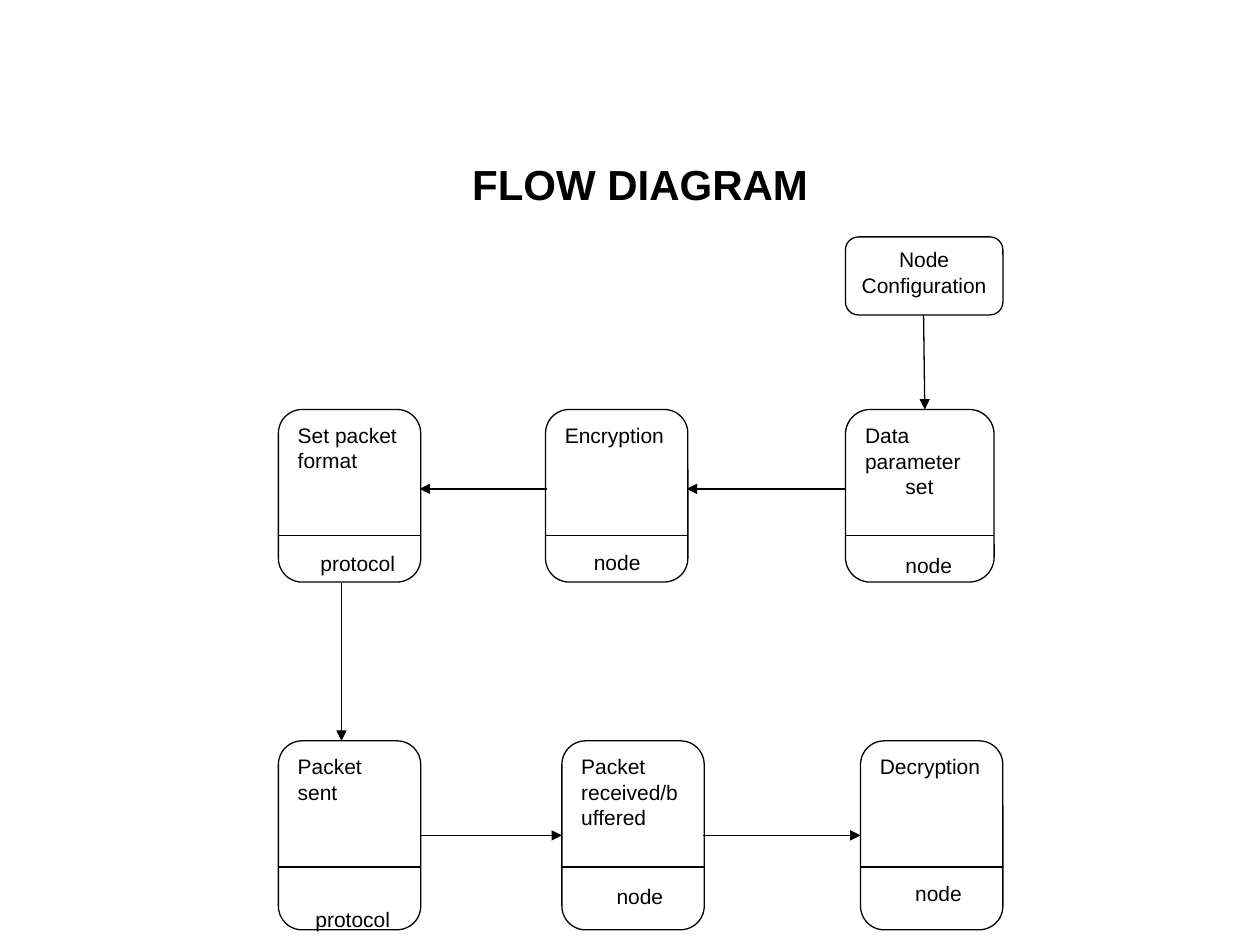
from typing import NamedTuple

from pptx import Presentation
from pptx.dml.color import RGBColor
from pptx.enum.shapes import MSO_CONNECTOR as CONN, MSO_SHAPE as SHAPE
from pptx.enum.text import MSO_ANCHOR as ANCHOR, PP_ALIGN as ALIGN
from pptx.oxml.ns import qn
from pptx.util import Inches, Pt
from lxml.etree import SubElement

BLACK = RGBColor(0, 0, 0)
WHITE = RGBColor(255, 255, 255)
FONT = "Arial"
LINE_PT = 13.8  # height of one 12 pt text line
CORNER = 0.167


class Step(NamedTuple):
    left: float
    top: float
    width: float
    height: float
    label: list[str]
    lines: int  # lines the label takes once wrapped
    role: str
    role_indent: float
    role_drop: float = 72  # points from first line to role line


class Arrow(NamedTuple):
    x1: float
    y1: float
    x2: float
    y2: float


ROW1, ROW2 = 3.25, 5.88
H1, H2 = 1.37, 1.5
DIVIDER = 1.0  # below the top of a step
SET_INDENT = 0.32

STEPS = [
    Step(6.71, ROW1, 1.18, H1, ["Data parameter", "set"], 3, "node", SET_INDENT),
    Step(4.33, ROW1, 1.13, H1, ["Encryption"], 1, "node", 0.23),
    Step(2.21, ROW1, 1.13, H1, ["Set packet format"], 2, "protocol", 0.18),
    Step(2.21, ROW2, 1.13, H2, ["Packet sent"], 2, "protocol", 0.14, 86),
    Step(4.46, ROW2, 1.13, H2, ["Packet received/buffered"], 3, "node", 0.28),
    Step(6.83, ROW2, 1.13, H2, ["Decryption"], 1, "node", 0.28),
]

ARROWS = [
    Arrow(7.33, 2.5, 7.34, ROW1),
    Arrow(6.71, 3.88, 5.45, 3.88),
    Arrow(4.34, 3.88, 3.33, 3.88),
    Arrow(2.71, 4.63, 2.71, ROW2),
    Arrow(3.33, 6.63, 4.46, 6.63),
    Arrow(5.58, 6.63, 6.83, 6.63),
]


def format_text(tf, size: float, align, bold: bool = False) -> None:
    for p in tf.paragraphs:
        p.alignment = align
        for r in p.runs:
            r.font.name, r.font.size, r.font.bold = FONT, Pt(size), bold
            r.font.color.rgb = BLACK


def add_box(s, left: float, top: float, width: float, height: float, text: str, align):
    sp = s.shapes.add_shape(SHAPE.ROUNDED_RECTANGLE, Inches(left), Inches(top),
                            Inches(width), Inches(height))
    sp.adjustments[0] = CORNER
    sp.shadow.inherit = False
    sp.fill.solid()
    sp.fill.fore_color.rgb = WHITE
    sp.line.color.rgb = BLACK
    sp.line.width = Pt(0.75)
    tf = sp.text_frame
    tf.word_wrap = True
    tf.vertical_anchor = ANCHOR.TOP
    tf.text = text
    format_text(tf, 12, align)
    return sp


def add_line(s, x1: float, y1: float, x2: float, y2: float, arrow: bool = False) -> None:
    cn = s.shapes.add_connector(CONN.STRAIGHT, Inches(x1), Inches(y1),
                                Inches(x2), Inches(y2))
    cn.line.color.rgb = BLACK
    cn.line.width = Pt(0.75)
    if arrow:
        SubElement(cn.line._get_or_add_ln(), qn("a:tailEnd"), type="triangle")
    SubElement(cn._element.spPr, qn("a:effectLst"))


def indent(p, inches: float) -> None:
    p._p.get_or_add_pPr().set("marL", str(Inches(inches)))


def add_step(s, step: Step) -> None:
    text = "\n".join([*step.label, step.role])
    sp = add_box(s, step.left, step.top, step.width, step.height, text, ALIGN.LEFT)
    *label, role = sp.text_frame.paragraphs
    for p in label[1:]:
        indent(p, SET_INDENT)
    indent(role, step.role_indent)
    role.space_before = Pt(step.role_drop - LINE_PT * step.lines)
    y = step.top + DIVIDER
    add_line(s, step.left, y, step.left + step.width, y)


def main() -> None:
    prs = Presentation()
    prs.slide_width, prs.slide_height = Inches(10), Inches(7.5)
    s = prs.slides.add_slide(prs.slide_layouts[6])

    # Title
    title = s.shapes.add_textbox(Inches(0.12), Inches(1.17), Inches(9.92), Inches(0.58))
    tf = title.text_frame
    tf.word_wrap = True
    tf.vertical_anchor = ANCHOR.MIDDLE
    tf.text = "FLOW DIAGRAM"
    format_text(tf, 24, ALIGN.CENTER, bold=True)

    # Starting node
    start = add_box(s, 6.71, 1.88, 1.25, 0.62, "Node Configuration", ALIGN.CENTER)
    start.text_frame.margin_left = start.text_frame.margin_right = Inches(0.05)

    # Steps with their dividers, then the flow between them
    for step in STEPS:
        add_step(s, step)
    for arrow in ARROWS:
        add_line(s, *arrow, arrow=True)

    prs.save("out.pptx")


if __name__ == "__main__":
    main()
